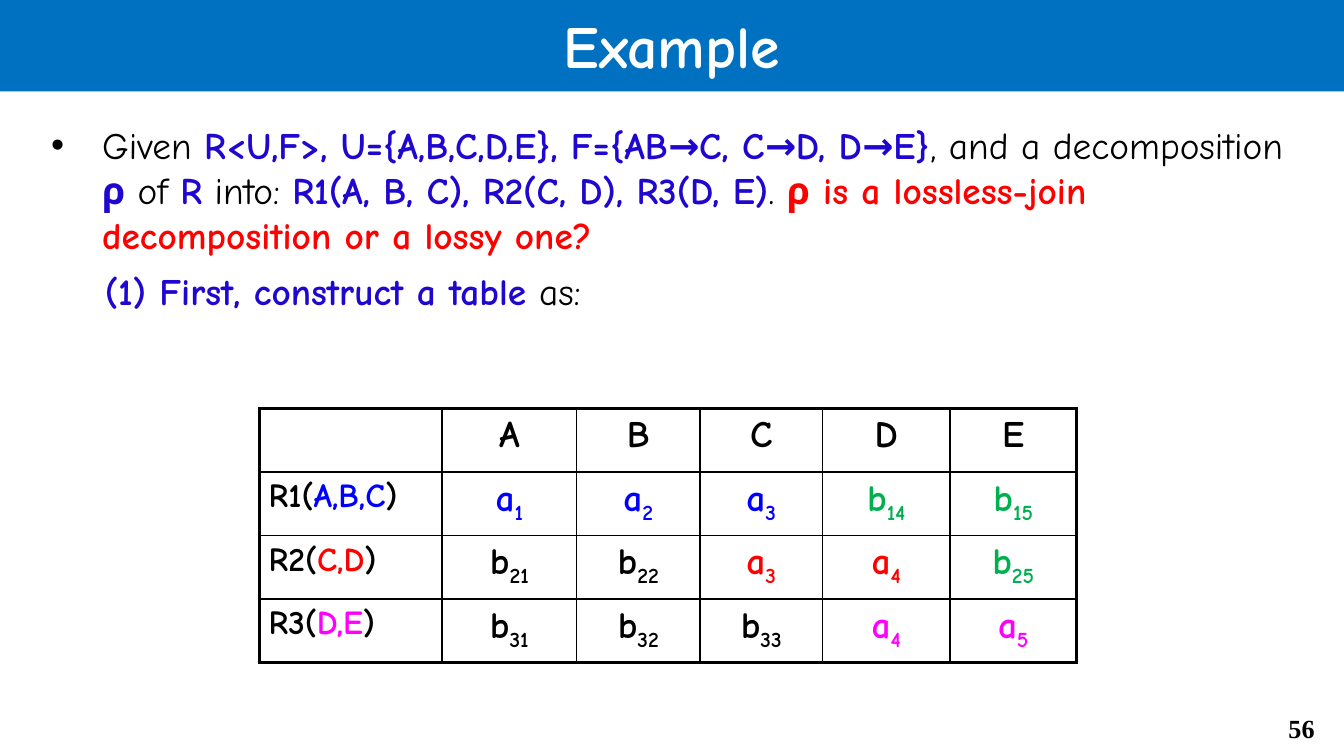
from lxml import etree
from pptx import Presentation
from pptx.dml.color import RGBColor
from pptx.enum.text import MSO_ANCHOR, MSO_AUTO_SIZE, PP_ALIGN
from pptx.oxml.ns import qn
from pptx.util import Inches, Pt

LEFT, CENTER, RIGHT = PP_ALIGN.LEFT, PP_ALIGN.CENTER, PP_ALIGN.RIGHT
MIDDLE, TOP = MSO_ANCHOR.MIDDLE, MSO_ANCHOR.TOP
NO_AUTOFIT = MSO_AUTO_SIZE.NONE

PAGE_WIDTH = 10
PAGE_HEIGHT = PAGE_WIDTH * 9 / 16

FONT = "Comic Neue"
BLACK, WHITE, BAR = "000000", "FFFFFF", "0070C0"
INDIGO, RED, BLUE, GREEN, PINK = "1F07CF", "FF0000", "0000FF", "00B050", "FF00FF"

ATTRIBUTES = "ABCDE"
RELATIONS = [("ABC", BLUE), ("CD", RED), ("DE", PINK)]
COLUMN_WIDTHS = [1.36, 1, 0.92, 0.91, 0.95, 0.94]

# Each span is (text, colour, bold).
QUESTION = [
    ("Given ", BLACK, False),
    ("R<U,F>, U={A,B,C,D,E}, F={AB→C, C→D, D→E}", INDIGO, True),
    (", and a decomposition ", BLACK, False),
    ("ρ", INDIGO, True),
    (" of ", BLACK, False),
    ("R", INDIGO, True),
    (" into: ", BLACK, False),
    ("R1(A, B, C), R2(C, D), R3(D, E)", INDIGO, True),
    (". ", BLACK, False),
    ("ρ is a lossless-join decomposition or a lossy one?", RED, True),
]
FIRST_STEP = [("(1) First, construct a table", INDIGO, True), (" as:", BLACK, False)]


def rgb(color):
    return RGBColor.from_string(color)


def place(shape, box):
    shape.left, shape.top, shape.width, shape.height = map(Inches, box)


def add_span(para, text, size, color=BLACK, bold=True, font=FONT, subscript=False):
    span = para.add_run()
    span.text = text
    span.font.name = font
    span.font.size = Pt(size)
    span.font.bold = bold
    span.font.color.rgb = rgb(color)
    if subscript:
        span.font._element.set("baseline", "-25000")


def set_bullet(para, margin, hanging=0, bullet=None):
    properties = para._p.get_or_add_pPr()
    properties.set("marL", str(Inches(margin)))
    properties.set("indent", str(-Inches(hanging)))
    if bullet:
        etree.SubElement(properties, qn("a:buFont")).set("typeface", "Arial")
        etree.SubElement(properties, qn("a:buChar")).set("char", bullet)
    else:
        etree.SubElement(properties, qn("a:buNone"))


def set_borders(cell, widths):
    """Draw black cell borders; widths are points for left, right, top, bottom."""
    properties = cell._tc.get_or_add_tcPr()
    for side, width in zip("LRTB", widths):
        line = etree.SubElement(properties, qn(f"a:ln{side}"), w=str(Pt(width)))
        fill = etree.SubElement(line, qn("a:solidFill"))
        etree.SubElement(fill, qn("a:srgbClr"), val=BLACK)


def fill_title(page, box):
    title = page.shapes.title
    place(title, box)
    title.fill.solid()
    title.fill.fore_color.rgb = rgb(BAR)
    frame = title.text_frame
    frame.auto_size = NO_AUTOFIT
    frame.vertical_anchor = MIDDLE
    para = frame.paragraphs[0]
    para.alignment = CENTER
    add_span(para, "Example", 32, WHITE)


def fill_body(page, box):
    body = page.placeholders[1]
    place(body, box)
    frame = body.text_frame
    frame.auto_size = NO_AUTOFIT
    frame.vertical_anchor = TOP
    question, step = frame.paragraphs[0], frame.add_paragraph()
    set_bullet(question, 0.38, 0.38, "•")
    set_bullet(step, 0.4)
    question.space_before, step.space_before = Pt(0), Pt(6)
    for para, spans in ((question, QUESTION), (step, FIRST_STEP)):
        for text, color, bold in spans:
            add_span(para, text, 20, color, bold)


def write_relation(para, number, members, color):
    add_span(para, f"R{number}(", 18)
    add_span(para, ",".join(members), 18, color)
    add_span(para, ")", 18)


def write_symbol(para, row, column, members, color):
    """Write a_j for an attribute of the relation and b_ij for any other."""
    if ATTRIBUTES[column - 1] in members:
        letter, index = "a", str(column)
    else:
        letter, index = "b", f"{row}{column}"
        color = GREEN if ATTRIBUTES[column - 1] > members[-1] else BLACK
    add_span(para, letter, 20, color)
    add_span(para, index, 20, color, subscript=True)


def add_tableau(page, box):
    row_count, column_count = len(RELATIONS) + 1, len(COLUMN_WIDTHS)
    table = page.shapes.add_table(row_count, column_count, *map(Inches, box)).table
    table.first_row = table.horz_banding = False
    for column, width in zip(table.columns, COLUMN_WIDTHS):
        column.width = Inches(width)
    for row in range(row_count):
        for column in range(column_count):
            cell = table.cell(row, column)
            cell.margin_left = cell.margin_right = Inches(0.07)
            cell.margin_top = cell.margin_bottom = Inches(0.04)
            outer = (column == 0, column == column_count - 1, row == 0, row == row_count - 1)
            set_borders(cell, [2.25 if edge else 1 for edge in outer])
            cell.fill.background()
            para = cell.text_frame.paragraphs[0]
            para.alignment = CENTER if column else LEFT
            if row and column:
                write_symbol(para, row, column, *RELATIONS[row - 1])
            elif row:
                write_relation(para, row, *RELATIONS[row - 1])
            elif column:
                add_span(para, ATTRIBUTES[column - 1], 20)


def add_page_number(page, box):
    frame = page.shapes.add_textbox(*map(Inches, box)).text_frame
    frame.word_wrap = True
    para = frame.paragraphs[0]
    para.alignment = RIGHT
    add_span(para, "56", 14, font="Times New Roman")


def main():
    deck = Presentation()
    deck.slide_width, deck.slide_height = Inches(PAGE_WIDTH), Inches(PAGE_HEIGHT)
    page = deck.slides.add_slide(deck.slide_layouts[1])
    add_page_number(page, (9.25, 5.25, 0.63, 0.34))
    fill_title(page, (0, -0.02, PAGE_WIDTH, 0.7))
    fill_body(page, (0.28, 0.86, 9.37, 4.16))
    add_tableau(page, (1.93, 3.04, sum(COLUMN_WIDTHS), 1.89))
    deck.save("out.pptx")


if __name__ == "__main__":
    main()
